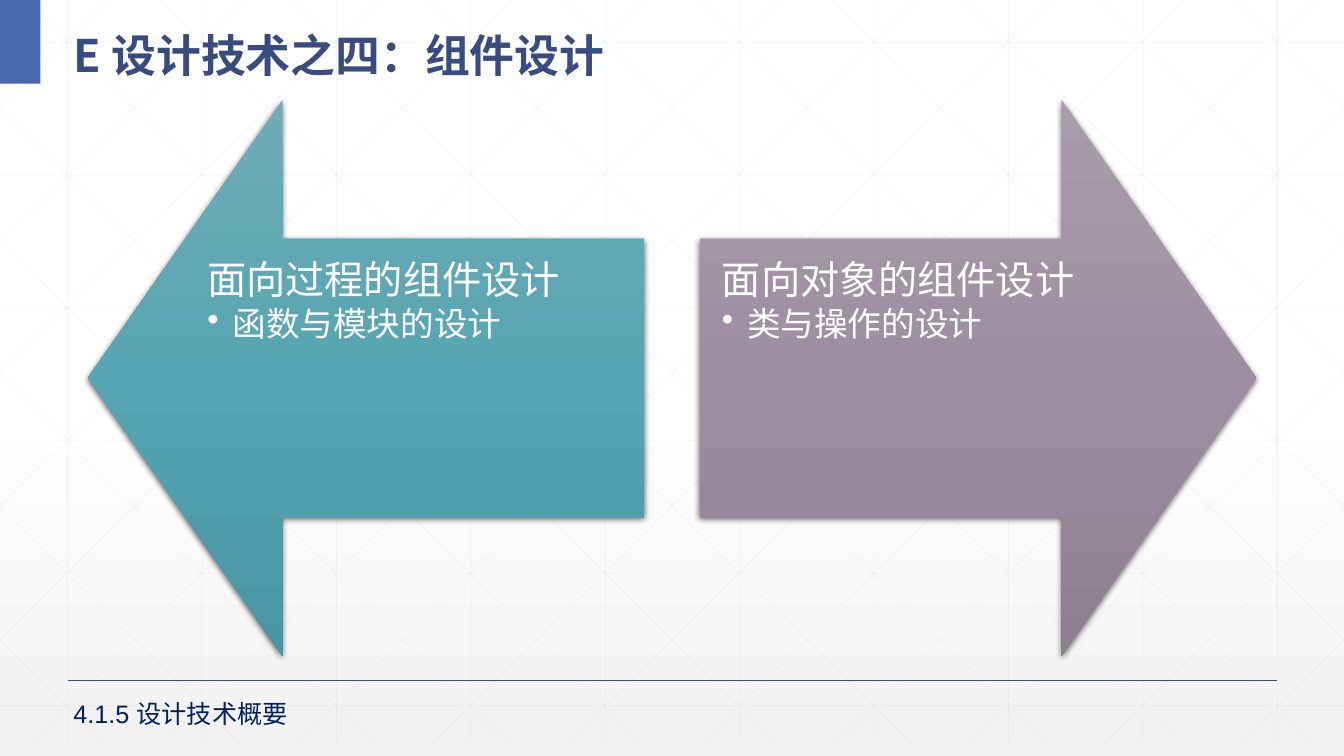
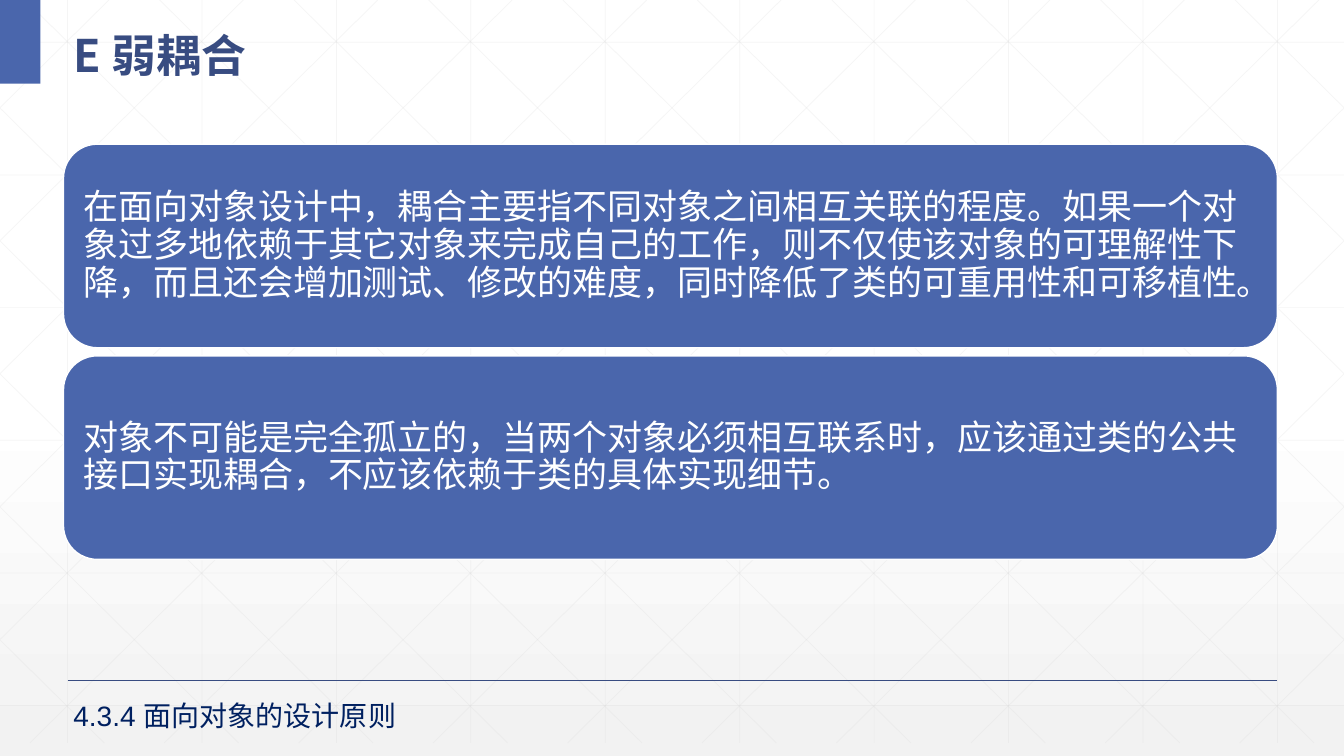
"""Build two slides on component design and weak coupling."""
from dataclasses import dataclass

from lxml import etree
from pptx import Presentation
from pptx.dml.color import RGBColor
from pptx.enum.shapes import MSO_CONNECTOR as CONN, MSO_SHAPE as SHAPE
from pptx.enum.text import MSO_ANCHOR as ANCHOR, MSO_AUTO_SIZE as AUTO, PP_ALIGN as ALIGN
from pptx.oxml.ns import qn
from pptx.util import Inches, Pt

WIDTH, HEIGHT = 13.33, 7.5
GRID_BOTTOM, GRID_STEP, ROW_STEP, DIAGONAL_RUN = 7.37, 4 / 3, 1.316, 7.45
LATIN, CJK = "Arial", "Noto Sans CJK SC"
WHITE, GRID, BLUE, NAVY, INK = "FFFFFF", "D9D9D9", "4A66AC", "384C81", "002060"
BACKGROUND = ((0, WHITE), (53, WHITE), (100, "F2F2F2"))


@dataclass(frozen=True)
class Arrow:
    """An arrow with a heading and a bullet."""
    kind: SHAPE
    left: float
    stops: tuple
    heading: str
    bullet: str


@dataclass(frozen=True)
class Footer:
    """The section label below the rule."""
    text: str
    width: float
    height: float
    size: int


ARROWS = (
    Arrow(SHAPE.LEFT_ARROW, 0.87, ((0, "70ACB7"), (50, "56A5B2"), (100, "4896A3")),
          "面向过程的组件设计", "函数与模块的设计"),
    Arrow(SHAPE.RIGHT_ARROW, 6.94, ((0, "A89CAA"), (50, "9D8FA1"), (100, "8D7E90")),
          "面向对象的组件设计", "类与操作的设计"),
)
CARDS = (
    "在面向对象设计中，耦合主要指不同对象之间相互关联的程度。如果一个对象过多地依赖于其它对象来完成自己的工作，"
    "则不仅使该对象的可理解性下降，而且还会增加测试、修改的难度，同时降低了类的可重用性和可移植性。",
    "对象不可能是完全孤立的，当两个对象必须相互联系时，应该通过类的公共接口实现耦合，不应该依赖于类的具体实现细节。",
)


def rgb(color: str) -> RGBColor:
    """Return the colour of a hex string."""
    return RGBColor.from_string(color)


def child(parent, tag: str, **attrs):
    """Append a drawing element with its attributes."""
    return etree.SubElement(parent, qn(tag), {k: str(v) for k, v in attrs.items()})


def set_gradient(owner, fill, stops: tuple) -> None:
    """Fill from top to bottom with the given stops."""
    fill.gradient()
    fill.gradient_angle = 270
    stop_list = next(owner.element.iter(qn("a:gsLst")))
    for old in list(stop_list):
        stop_list.remove(old)
    for pos, color in stops:
        child(child(stop_list, "a:gs", pos=pos * 1000), "a:srgbClr", val=color)


def style_paragraph(p, size: int, color: str, font: str = LATIN, bold: bool = False,
                    spacing: float = 1.0, after: float = 0) -> None:
    """Format a paragraph and its runs."""
    p.alignment = ALIGN.LEFT
    p.line_spacing = spacing
    p.space_after = Pt(after)
    for r in p.runs:
        r.font.size, r.font.bold, r.font.name = Pt(size), bold, font
        r.font.color.rgb = rgb(color)
        for latin in p.font._element.getparent().getparent().iter(qn("a:latin")):
            if latin.getnext() is None:
                ea = etree.Element(qn("a:ea"), typeface=CJK)
                latin.addnext(ea)


def set_frame(tf, inset: float, anchor: ANCHOR) -> None:
    """Set wrapping, equal insets and anchor of a text frame."""
    tf.word_wrap = True
    tf.margin_left = tf.margin_top = tf.margin_right = tf.margin_bottom = Inches(inset)
    tf.vertical_anchor = anchor


def add_line(s, start: tuple, end: tuple, color: str, width: float, alpha: int = 100) -> None:
    """Draw a straight line."""
    line = s.shapes.add_connector(CONN.STRAIGHT, *(Inches(v) for v in (*start, *end)))
    line.line.color.rgb = rgb(color)
    line.line.width = Pt(width)
    child(next(line.element.iter(qn("a:srgbClr"))), "a:alpha", val=alpha * 1000)
    child(line.element.spPr, "a:effectLst")


def add_shape(s, kind: SHAPE, left: float, top: float, width: float, height: float):
    """Add a shape without shadow or line."""
    sp = s.shapes.add_shape(kind, Inches(left), Inches(top), Inches(width), Inches(height))
    sp.shadow.inherit = False
    sp.line.fill.background()
    return sp


def grid_lines() -> list:
    """List the ends of the grid lines and of the clipped diagonals."""
    xs = [0.67 + GRID_STEP * i for i in range(10)]
    ys = [0.42 + ROW_STEP * i for i in range(6)]
    lines = [((x, 0), (x, GRID_BOTTOM)) for x in xs]
    lines += [((0, y), (WIDTH, y)) for y in ys]
    slope = GRID_BOTTOM / DIAGONAL_RUN
    for i in range(-5, 10):
        x = 0.25 + GRID_STEP * i
        x1, x2 = max(x, 0), min(x + DIAGONAL_RUN, WIDTH)
        y1, y2 = (x1 - x) * slope, (x2 - x) * slope
        lines += [((x1, y1), (x2, y2)), ((WIDTH - x1, y1), (WIDTH - x2, y2))]
    return lines


def decorate_layout(layout, s) -> None:
    """Draw the shared decoration and move it into the layout."""
    for ph in list(layout.placeholders):
        if ph.placeholder_format.idx != 0:
            ph.element.getparent().remove(ph.element)
    set_gradient(layout, layout.background.fill, BACKGROUND)
    for start, end in grid_lines():
        add_line(s, start, end, GRID, 0.5, 25)
    add_line(s, (0.67, 6.75), (12.67, 6.75), NAVY, 1)
    corner = add_shape(s, SHAPE.RECTANGLE, 0, 0, 0.4, 0.83)
    corner.fill.solid()
    corner.fill.fore_color.rgb = rgb(BLUE)
    for sp in list(s.shapes):
        if not sp.is_placeholder:
            layout.shapes.element.append(sp.element)


def add_heading(s, title: str, footer: Footer) -> None:
    """Set the title and the section label."""
    sp = s.shapes.title
    sp.left, sp.top, sp.width, sp.height = (Inches(v) for v in (0.63, 0.1, 12.42, 0.73))
    tf = sp.text_frame
    tf.text = title
    tf.auto_size = AUTO.NONE
    tf.word_wrap = True
    tf.vertical_anchor = ANCHOR.MIDDLE
    style_paragraph(tf.paragraphs[0], 32, NAVY, CJK, True, 1.3)
    label = s.shapes.add_textbox(Inches(0.63), Inches(6.88),
                                 Inches(footer.width), Inches(footer.height))
    tf = label.text_frame
    tf.text = footer.text
    tf.word_wrap = True
    tf.auto_size = AUTO.SHAPE_TO_FIT_TEXT
    style_paragraph(tf.paragraphs[0], footer.size, INK)


def add_arrow(s, arrow: Arrow) -> None:
    """Draw a shaded arrow with its text."""
    sp = add_shape(s, arrow.kind, arrow.left, 0.99, 5.52, 5.52)
    sp.adjustments[0], sp.adjustments[1] = 0.5, 0.35
    set_gradient(sp, sp.fill, arrow.stops)
    shadow = child(next(sp.element.iter(qn("a:effectLst"))), "a:outerShdw", blurRad=Pt(4.5),
                   dist=Pt(1.5), dir=5400000, algn="ctr", rotWithShape=0)
    child(child(shadow, "a:srgbClr", val="000000"), "a:alpha", val=63000)
    tf = sp.text_frame
    set_frame(tf, 0.22, ANCHOR.TOP)
    tf.text = arrow.heading
    style_paragraph(tf.paragraphs[0], 28, WHITE, spacing=0.9, after=3)
    p = tf.add_paragraph()
    p.text = arrow.bullet
    p.level = 1
    props = p._p.get_or_add_pPr()
    props.set("marL", str(Inches(0.25)))
    props.set("indent", str(Inches(-0.25)))
    child(props, "a:buChar", char="•")
    style_paragraph(p, 24, WHITE, spacing=0.9)


def add_card(s, top: float, text: str) -> None:
    """Draw a rounded card with its text."""
    sp = add_shape(s, SHAPE.ROUNDED_RECTANGLE, 0.63, top, 12.04, 2.02)
    sp.fill.solid()
    sp.fill.fore_color.rgb = rgb(BLUE)
    sp.line.color.rgb = rgb(WHITE)
    sp.line.width = Pt(1)
    tf = sp.text_frame
    set_frame(tf, 0.1, ANCHOR.MIDDLE)
    tf.text = text
    style_paragraph(tf.paragraphs[0], 25, WHITE, spacing=0.9)


def main() -> None:
    """Build and save the presentation."""
    prs = Presentation()
    prs.slide_width, prs.slide_height = Inches(WIDTH), Inches(HEIGHT)
    layout = prs.slide_layouts[5]
    s = prs.slides.add_slide(layout)
    decorate_layout(layout, s)
    add_heading(s, "E 设计技术之四：组件设计", Footer("4.1.5 设计技术概要", 3.53, 0.4, 18))
    for arrow in ARROWS:
        add_arrow(s, arrow)

    s = prs.slides.add_slide(layout)
    add_heading(s, "E 弱耦合", Footer("4.3.4 面向对象的设计原则", 6.04, 0.44, 20))
    for i, text in enumerate(CARDS):
        add_card(s, 1.43 + 2.1 * i, text)
    prs.save("out.pptx")


if __name__ == "__main__":
    main()
